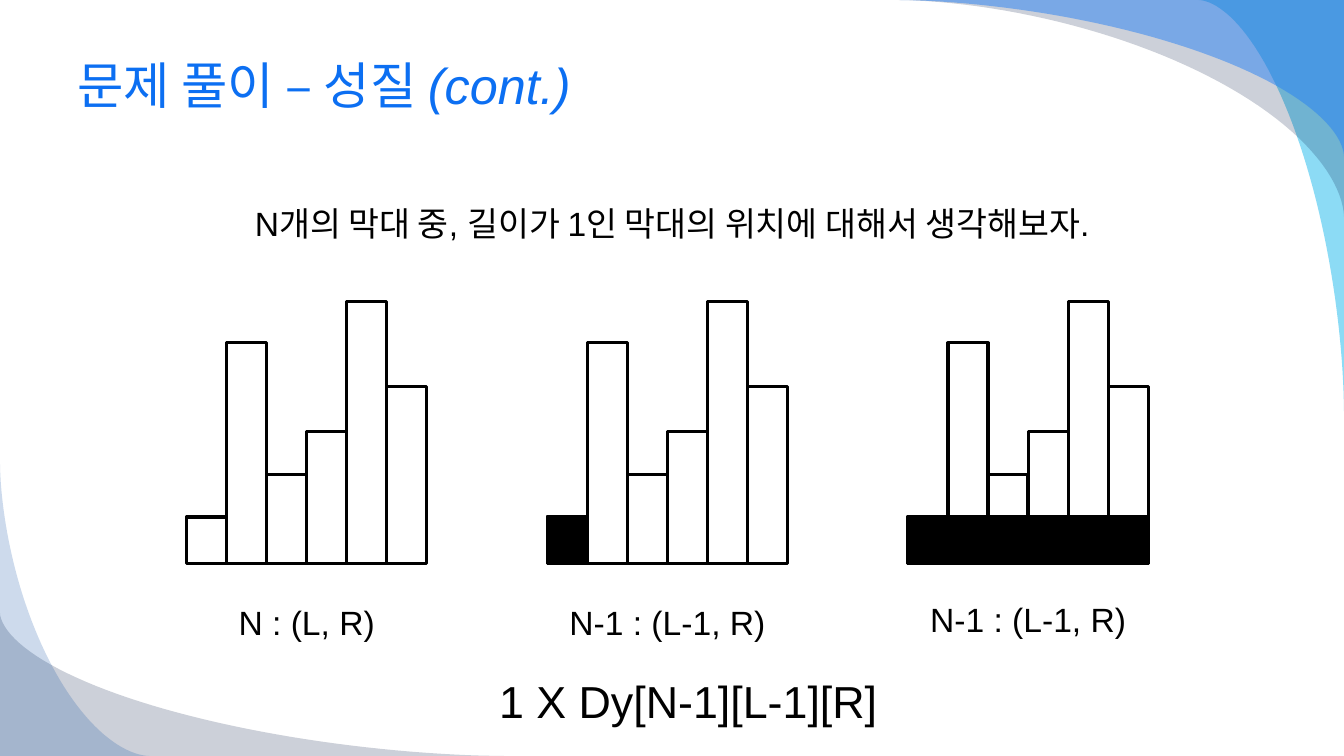
from dataclasses import dataclass
from math import cos, pi, sin

from lxml.etree import SubElement
from pptx import Presentation
from pptx.dml.color import RGBColor
from pptx.enum.shapes import MSO_SHAPE as Shape
from pptx.enum.text import MSO_ANCHOR as Anchor, MSO_AUTO_SIZE as AutoSize, PP_ALIGN as Align
from pptx.oxml.ns import qn
from pptx.util import Cm, Pt

# Content (lengths in cm)
WIDTH, HEIGHT = 33.87, 19.05
TITLE = [("문제 풀이 – 성질 ", False), ("(cont.)", True)]
LEAD = "N개의 막대 중, 길이가 1인 막대의 위치에 대해서 생각해보자."
FORMULA = "1 X Dy[N-1][L-1][R]"
BAR_HEIGHTS = [1.17, 5.56, 2.24, 3.33, 6.6, 4.45]
# caption, caption top, number of bars covered by the black band
FIGURES = [
    ("N : (L, R)", 14.99, 0),
    ("N-1 : (L-1, R)", 14.99, 1),
    ("N-1 : (L-1, R)", 14.91, 6),
]
# tip, slide corner, end, colour, opacity in percent
RIBBONS = [
    ((WIDTH, 10.36), (WIDTH, 0), (30.2, 0), "00B1E9", 45),
    ((22.58, 0), (WIDTH, 0), (WIDTH, 5.46), "021741", 20),
    ((22.58, 0), (WIDTH, 0), (WIDTH, 3.94), "247FF4", 49),
    ((12.7, HEIGHT), (0, HEIGHT), (0, 15.44), "021741", 20),
    ((0, 11.63), (0, HEIGHT), (3.76, HEIGHT), "084AA1", 20),
]

# Layout rules
BAR_WIDTH, BASELINE = 1.01, 14.2
FIRST_LEFT, FIGURE_STEP = 4.7, 9.09
CURVE_STEPS, CURVE_POWER = 48, 1.75


@dataclass(frozen=True)
class Theme:
    font: str = "Arial"
    title: str = "0C6FF2"
    ink: str = "000000"
    paper: str = "FFFFFF"
    title_size: int = 36
    text_size: int = 24
    formula_size: int = 32
    outline: float = 2.25


theme = Theme()


def place(box, left, top, width, height):
    box.left, box.top, box.width, box.height = map(Cm, (left, top, width, height))


def write(box, runs, size=theme.text_size, color=theme.ink, align=Align.CENTER,
          anchor=Anchor.MIDDLE):
    frame = box.text_frame
    frame.word_wrap = True
    frame.auto_size = AutoSize.NONE
    frame.vertical_anchor = anchor
    para = frame.paragraphs[0]
    para.alignment = align
    for text, italic in runs:
        span = para.add_run()
        span.text = text
        span.font.name, span.font.size = theme.font, Pt(size)
        span.font.italic = italic
        span.font.color.rgb = RGBColor.from_string(color)
    return para


def add_label(page, text, left, top, width, height, **style):
    box = page.shapes.add_textbox(*map(Cm, (left, top, width, height)))
    write(box, [(text, False)], **style)


def add_bar(page, left, top, width, height, fill):
    bar = page.shapes.add_shape(Shape.RECTANGLE, *map(Cm, (left, top, width, height)))
    bar.shadow.inherit = False
    bar.fill.solid()
    bar.fill.fore_color.rgb = RGBColor.from_string(fill)
    bar.line.color.rgb = RGBColor.from_string(theme.ink)
    bar.line.width = Pt(theme.outline)


def add_ribbon(page, tip, corner, end, color, opacity):
    """Fill the area between a slide corner and a superelliptic arc."""
    def arc_point(step):
        angle = pi / 2 * step / CURVE_STEPS
        along = sin(angle) ** (2 / CURVE_POWER)
        away = 1 - cos(angle) ** (2 / CURVE_POWER)
        return tuple(Cm(t + (c - t) * along + (e - c) * away)
                     for t, c, e in zip(tip, corner, end))

    builder = page.shapes.build_freeform(*map(Cm, corner))
    builder.add_line_segments([arc_point(step) for step in range(CURVE_STEPS + 1)])
    ribbon = builder.convert_to_shape()
    ribbon.shadow.inherit = False
    ribbon.line.fill.background()
    ribbon.fill.solid()
    ribbon.fill.fore_color.rgb = RGBColor.from_string(color)
    tint = ribbon.element.spPr.find(qn("a:solidFill"))[0]
    SubElement(tint, qn("a:alpha"), val=str(opacity * 1000))


def add_figure(page, left, caption, caption_top, covered):
    # Taller bars lie behind shorter ones
    for index, height in sorted(enumerate(BAR_HEIGHTS), key=lambda bar: -bar[1]):
        add_bar(page, left + index * BAR_WIDTH, BASELINE - height, BAR_WIDTH, height,
                theme.paper)
    if covered:
        unit = BAR_HEIGHTS[0]
        add_bar(page, left, BASELINE - unit, covered * BAR_WIDTH, unit, theme.ink)
    add_label(page, caption, left, caption_top, len(BAR_HEIGHTS) * BAR_WIDTH, 1.37)


def main():
    deck = Presentation()
    deck.slide_width, deck.slide_height = Cm(WIDTH), Cm(HEIGHT)
    page = deck.slides.add_slide(deck.slide_layouts[1])
    title, body = page.shapes.title, page.placeholders[1]

    # Corner ribbons, behind the text
    for ribbon in RIBBONS:
        add_ribbon(page, *ribbon)
    for box in (title, body):
        page.shapes.element.append(box.element)

    # Title and lead sentence
    place(title, 1.7, 0.84, 30.48, 2.57)
    write(title, TITLE, size=theme.title_size, color=theme.title, align=Align.LEFT)
    place(body, 1.7, 3.76, 30.48, 3.02)
    lead = write(body, [(LEAD, False)], anchor=Anchor.BOTTOM)
    body.text_frame.margin_bottom = Cm(0.66)
    props = lead._p.get_or_add_pPr()
    props.set("marL", "0")
    props.set("indent", "0")
    SubElement(props, qn("a:buNone"))

    # Bar figures and formula
    for index, figure in enumerate(FIGURES):
        add_figure(page, FIRST_LEFT + index * FIGURE_STEP, *figure)
    add_label(page, FORMULA, 2.11, 16.76, 30.48, 1.8, size=theme.formula_size)

    deck.save("out.pptx")


if __name__ == "__main__":
    main()
